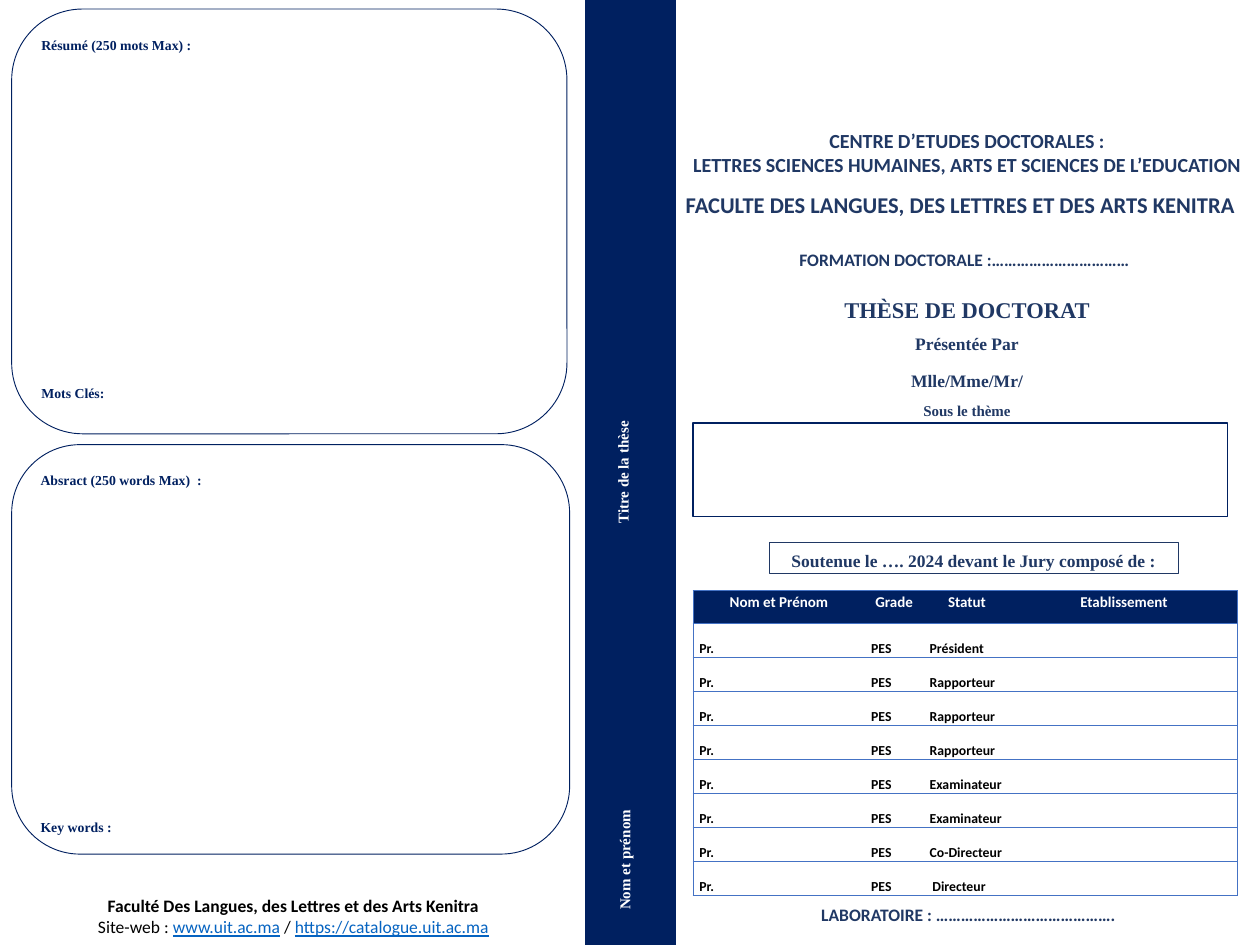
from pptx import Presentation
from pptx.dml.color import RGBColor
from pptx.enum.shapes import MSO_SHAPE
from pptx.enum.text import MSO_ANCHOR, MSO_AUTO_SIZE, PP_ALIGN
from pptx.oxml import parse_xml
from pptx.oxml.ns import nsdecls
from pptx.util import Inches, Pt

NAVY = RGBColor(0x00, 0x20, 0x60)
SLATE = RGBColor(0x20, 0x38, 0x64)
GRID = RGBColor(0x44, 0x72, 0xC4)
LINK = RGBColor(0x05, 0x63, 0xC1)
BLACK = RGBColor(0, 0, 0)
WHITE = RGBColor(255, 255, 255)
SANS = "Calibri"
SERIF = "Times New Roman"


class ThesisCover:
    """Builds the elements of a thesis cover on one slide."""

    def __init__(self, slide):
        self.slide = slide

    def style(self, para, size, font, color, bold=True, align=PP_ALIGN.CENTER, spacing=1.0, after=0):
        para.alignment = align
        para.line_spacing = spacing
        para.space_before = Pt(0)
        para.space_after = Pt(after)
        para.font.size = Pt(size)
        para.font.name = font
        para.font.color.rgb = color
        para.font.bold = bold

    def fill_frame(self, frame, lines, font, color, **options):
        frame.word_wrap = True
        frame.auto_size = MSO_AUTO_SIZE.NONE
        frame.vertical_anchor = MSO_ANCHOR.TOP
        for index, (text, size, after) in enumerate(lines):
            para = frame.add_paragraph() if index else frame.paragraphs[0]
            para.text = text
            self.style(para, size, font, color, after=after, **options)

    def title(self, place, lines):
        box = self.slide.shapes.title
        box.left, box.top, box.width, box.height = map(Inches, place)
        self.fill_frame(box.text_frame, lines, SERIF, SLATE, spacing=1.15)

    def text(self, place, lines, color=SLATE):
        box = self.slide.shapes.add_textbox(*map(Inches, place))
        self.fill_frame(box.text_frame, lines, SANS, color)
        return box.text_frame

    def spine_text(self, place, text):
        frame = self.slide.shapes.add_textbox(*map(Inches, place)).text_frame
        self.fill_frame(frame, [(text, 12, 0)], SERIF, WHITE, spacing=1.15)
        frame._txBody.bodyPr.set("vert", "vert270")

    def panel(self, place, kind=MSO_SHAPE.RECTANGLE, line=NAVY, width=0.75, fill=None):
        shape = self.slide.shapes.add_shape(kind, *map(Inches, place))
        shape.shadow.inherit = False
        if fill is None:
            shape.fill.background()
        else:
            shape.fill.solid()
            shape.fill.fore_color.rgb = fill
        shape.line.color.rgb = line
        shape.line.width = Pt(width)
        return shape

    def summary(self, place, heading, keywords):
        shape = self.panel(place, MSO_SHAPE.ROUNDED_RECTANGLE)
        shape.adjustments[0] = 0.167
        lines = [(heading, 11, 263), (keywords, 11, 0)]
        self.fill_frame(shape.text_frame, lines, SERIF, NAVY, align=PP_ALIGN.LEFT, spacing=1.15)

    def borders(self, cell, edges):
        for position, edge in enumerate("LRTB"):
            paint = f'<a:solidFill><a:srgbClr val="{GRID}"/></a:solidFill>' if edge in edges else "<a:noFill/>"
            border = parse_xml(f'<a:ln{edge} {nsdecls("a")} w="6350">{paint}</a:ln{edge}>')
            cell._tc.get_or_add_tcPr().insert(position, border)

    def jury_table(self, place, widths, rows):
        table = self.slide.shapes.add_table(len(rows), len(widths), *map(Inches, place)).table
        table.first_row = table.horz_banding = False
        for column, width in zip(table.columns, widths):
            column.width = Inches(width)
        for row_index, values in enumerate(rows):
            header = row_index == 0
            table.rows[row_index].height = Inches(0.37 if header else 0.36)
            for column_index, value in enumerate(values):
                cell = table.cell(row_index, column_index)
                cell.margin_top = cell.margin_bottom = 0
                cell.margin_left = cell.margin_right = Inches(0.07)
                if header:
                    cell.fill.solid()
                    cell.fill.fore_color.rgb = NAVY
                else:
                    cell.fill.background()
                edges = "TB" + "L" * (column_index == 0) + "R" * (column_index == len(widths) - 1)
                self.borders(cell, edges)
                para = cell.text_frame.paragraphs[0]
                if not value:
                    para.font.size = Pt(11)
                    continue
                para.text = value
                if header:
                    self.style(para, 12, SANS, WHITE, spacing=1.15)
                else:
                    self.style(para, 11, SANS, BLACK, align=PP_ALIGN.LEFT, spacing=2.0)
        table.cell(len(rows) - 1, 2).margin_left = Inches(0.1)

    def web_line(self, frame, spans):
        para = frame.add_paragraph()
        self.style(para, 14, SANS, BLACK, bold=False)
        for text, linked in spans:
            span = para.add_run()
            span.text = text
            if linked:
                span.font.color.rgb = LINK
                span.font.underline = True


def main():
    deck = Presentation()
    deck.slide_width, deck.slide_height = Inches(14), Inches(10.5)
    cover = ThesisCover(deck.slides.add_slide(deck.slide_layouts[5]))

    cover.panel((6.51, -0.02, 0.99, 10.52), fill=NAVY)
    cover.spine_text((6.76, 8.64, 0.5, 1.83), "Nom et prénom")
    cover.spine_text((6.74, 2.25, 0.52, 6), "Titre de la thèse")

    cover.summary((0.13, 0.1, 6.17, 4.72), "Résumé (250 mots Max) :", "Mots Clés:")
    cover.summary((0.13, 4.94, 6.2, 4.55), "Absract (250 words Max)  :", "Key words :")
    footer = cover.text(
        (0.18, 9.9, 6.16, 0.57), [("Faculté Des Langues, des Lettres et des Arts Kenitra", 14, 0)], BLACK
    )
    cover.web_line(
        footer,
        [("Site-web : ", False), ("www.uit.ac.ma", True), (" / ", False), ("https://catalogue.uit.ac.ma", True)],
    )

    cover.text(
        (7.49, 1.38, 6.51, 0.64),
        [
            ("CENTRE D’ETUDES DOCTORALES :", 16, 0),
            ("LETTRES SCIENCES HUMAINES, ARTS ET SCIENCES DE L’EDUCATION", 16, 0),
        ],
    )
    cover.text((7.46, 2.07, 6.42, 0.4), [("FACULTE DES LANGUES, DES LETTRES ET DES ARTS KENITRA", 18, 0)])
    cover.text((7.46, 2.72, 6.51, 0.34), [("FORMATION DOCTORALE :……………………………", 14, 0)])
    cover.title(
        (7.49, 3.19, 6.51, 1.42),
        [
            ("THÈSE DE DOCTORAT", 18, 6),
            ("Présentée Par", 14, 10),
            ("Mlle/Mme/Mr/", 14, 6),
            ("Sous le thème", 12, 0),
        ],
    )
    cover.panel((7.7, 4.7, 5.94, 1.04), width=1)
    defence = cover.panel((8.55, 6.03, 4.54, 0.34), line=SLATE)
    cover.fill_frame(
        defence.text_frame,
        [("Soutenue le …. 2024 devant le Jury composé de :", 14, 0)],
        SERIF,
        SLATE,
        spacing=1.15,
    )

    roles = ["Président"] + ["Rapporteur"] * 3 + ["Examinateur"] * 2 + ["Co-Directeur", "Directeur"]
    rows = [("Nom et Prénom", "Grade", "Statut", "Etablissement")]
    rows += [("Pr.", "PES", role, "") for role in roles]
    cover.jury_table((7.7, 6.56, 6.05, 3.25), (1.91, 0.65, 0.97, 2.52), rows)
    cover.text((7.55, 9.99, 6.42, 0.34), [("LABORATOIRE : …………………………………….", 14, 0)])

    deck.save("out.pptx")


if __name__ == "__main__":
    main()
